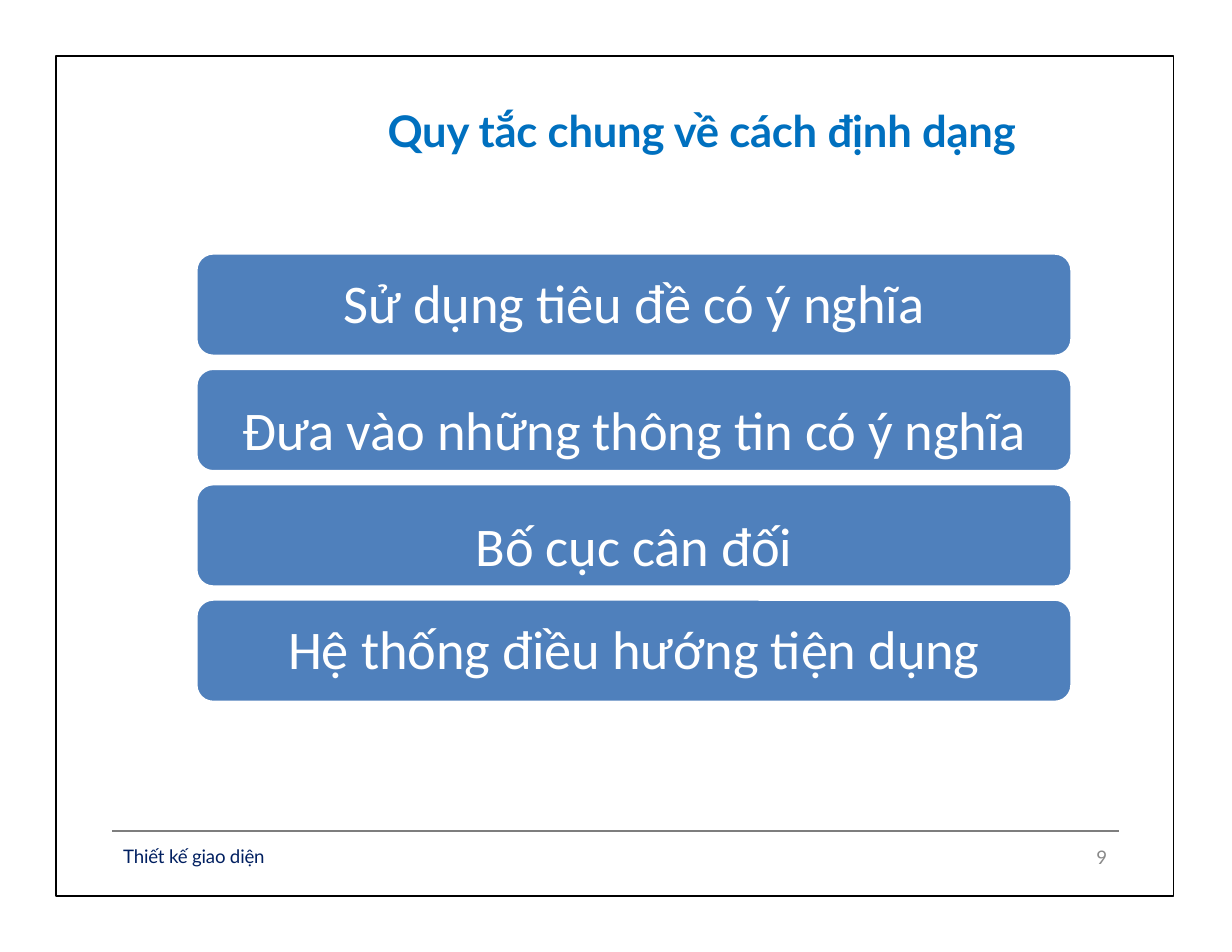
from dataclasses import dataclass

from lxml.etree import SubElement
from pptx import Presentation
from pptx.dml.color import RGBColor
from pptx.enum.shapes import MSO_CONNECTOR, MSO_SHAPE
from pptx.enum.text import MSO_ANCHOR, MSO_AUTO_SIZE, PP_ALIGN
from pptx.oxml.ns import qn
from pptx.util import Inches, Pt

COLS, ROWS = 22, 17
TITLE_ONLY = 5


@dataclass(frozen=True)
class Theme:
    heading_font: str = "Lato"
    body_font: str = "Calibri"
    title_size: float = 28
    bar_size: float = 35
    footer_size: float = 12
    title: str = "0070BF"
    bar: str = "4F80BC"
    paper: str = "FFFFFF"
    frame: str = "000000"
    rule: str = "7E7E7E"
    footer: str = "001F60"
    number: str = "898989"


class Deck:
    """Draws on one slide, with places given in grid columns and rows."""

    def __init__(self, theme):
        self.theme = theme
        self.prs = Presentation()
        self.prs.slide_width, self.prs.slide_height = Inches(11), Inches(8.5)
        self.s = self.prs.slides.add_slide(self.prs.slide_layouts[TITLE_ONLY])

    def x(self, cols):
        return round(self.prs.slide_width * cols / COLS)

    def y(self, rows):
        return round(self.prs.slide_height * rows / ROWS)

    def box(self, left, top, width, height):
        return self.x(left), self.y(top), self.x(width), self.y(height)

    def add_text(self, tf, text, font, size, color, align=PP_ALIGN.LEFT,
                 anchor=MSO_ANCHOR.TOP, insets=(0.01, 0.02)):
        tf.word_wrap = True
        tf.auto_size = MSO_AUTO_SIZE.NONE
        tf.vertical_anchor = anchor
        tf.margin_left, tf.margin_top = (Inches(i) for i in insets)
        tf.margin_right = tf.margin_bottom = 0
        p = tf.paragraphs[0]
        p.alignment = align
        r = p.add_run()
        r.text = text
        r.font.name, r.font.size = font, Pt(size)
        r.font.color.rgb = RGBColor.from_string(color)
        r.font._element.set("spc", "-10")
        return r

    def title(self, text, *place):
        t, sp = self.theme, self.s.shapes.title
        sp.left, sp.top, sp.width, sp.height = self.box(*place)
        r = self.add_text(sp.text_frame, text, t.heading_font, t.title_size, t.title)
        r.font.bold = True

    def label(self, text, color, *place, indent=0.01):
        t = self.theme
        sp = self.s.shapes.add_textbox(*self.box(*place))
        self.add_text(sp.text_frame, text, t.heading_font, t.footer_size, color,
                      insets=(indent, 0.02))

    def shape(self, kind, place, line, weight, fill=None):
        sp = self.s.shapes.add_shape(kind, *self.box(*place))
        sp.shadow.inherit = False
        if fill:
            sp.fill.solid()
            sp.fill.fore_color.rgb = RGBColor.from_string(fill)
        else:
            sp.fill.background()
        sp.line.color.rgb = RGBColor.from_string(line)
        sp.line.width = Pt(weight)
        return sp

    def bar(self, text, drop, *place):
        """Rounded bar; drop lowers its text from the middle, in inches."""
        t = self.theme
        sp = self.shape(MSO_SHAPE.ROUNDED_RECTANGLE, place, t.paper, 2, t.bar)
        self.add_text(sp.text_frame, text, t.body_font, t.bar_size, t.paper,
                      PP_ALIGN.CENTER, MSO_ANCHOR.MIDDLE, (0, max(0, 2 * drop)))
        sp.text_frame.margin_bottom = Inches(max(0, -2 * drop))

    def frame(self, *place):
        self.shape(MSO_SHAPE.RECTANGLE, place, self.theme.frame, 0.96)

    def rule(self, left, right, row):
        c = self.s.shapes.add_connector(MSO_CONNECTOR.STRAIGHT, self.x(left),
                                        self.y(row), self.x(right), self.y(row))
        c.line.color.rgb = RGBColor.from_string(self.theme.rule)
        c.line.width = Pt(0.84)
        SubElement(c._element.spPr, qn("a:effectLst"))


def main():
    theme = Theme()
    deck = Deck(theme)
    deck.rule(2, 19.98, 14.84)
    deck.title("Quy tắc chung về cách định dạng", 6.9, 1.82, 12.88, 0.98)

    rules = [
        ("Sử dụng tiêu đề có ý nghĩa", -0.03),
        ("Đưa vào những thông tin có ý nghĩa", 0.08),
        ("Bố cục cân đối", 0.08),
        ("Hệ thống điều hướng tiện dụng", -0.03),
    ]
    first, pitch = 4.52, 2.06
    for i, (text, drop) in enumerate(rules):
        deck.bar(text, drop, 3.5, first + i * pitch, 15.64, 1.84)

    deck.frame(1, 1, 19.96, 15)
    deck.label("Thiết kế giao diện", theme.footer, 2.18, 15.04, 2.68, 0.46)
    deck.label("9", theme.number, 19.52, 15.06, 0.48, 0.46, indent=0.03)
    deck.prs.save("out.pptx")


if __name__ == "__main__":
    main()
